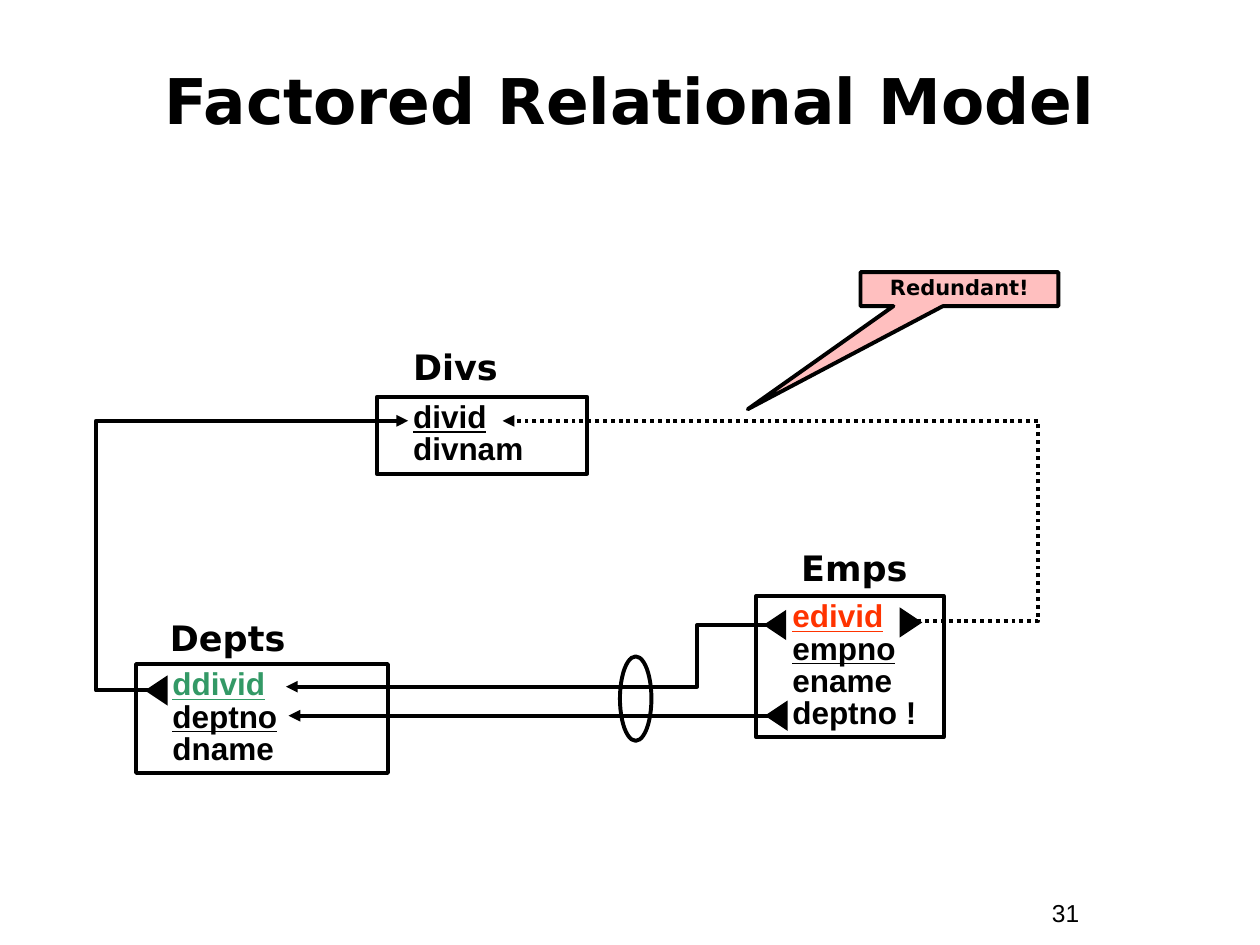
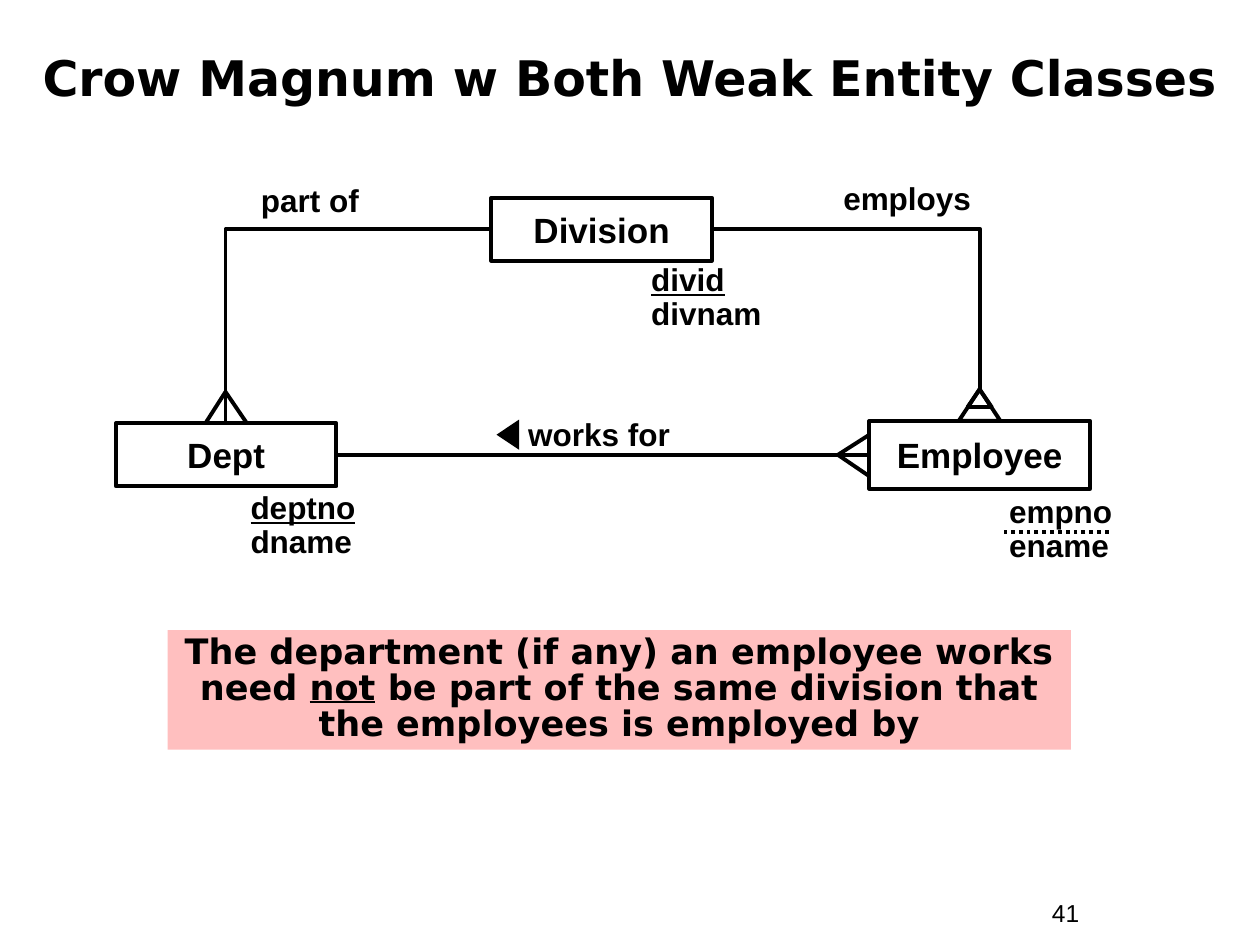
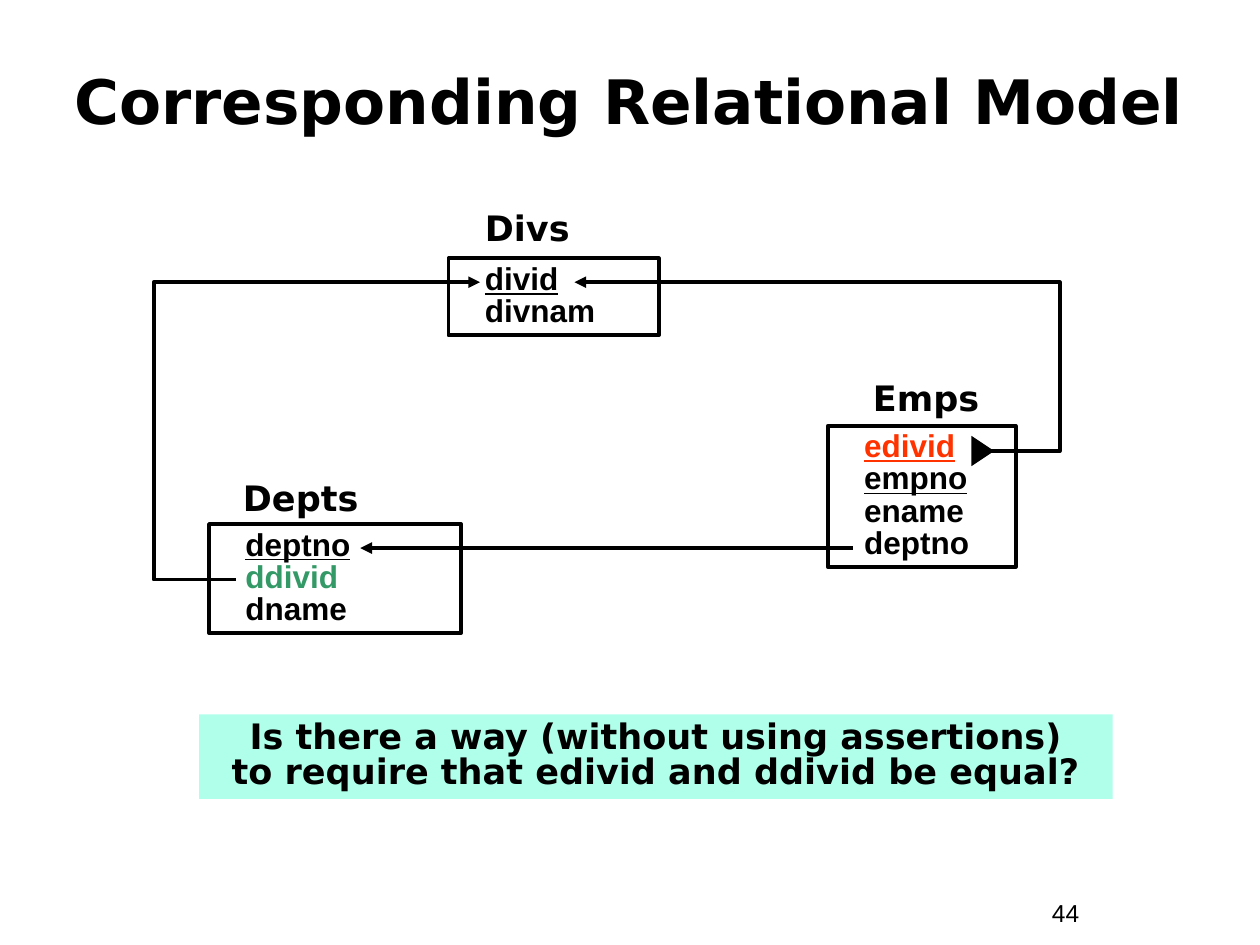
from pptx import Presentation
from pptx.dml.color import RGBColor
from pptx.enum.dml import MSO_LINE
from pptx.enum.shapes import MSO_CONNECTOR, MSO_SHAPE
from pptx.enum.text import MSO_ANCHOR, PP_ALIGN
from pptx.oxml.ns import qn
from pptx.util import Inches, Pt
from lxml import etree

BLACK = RGBColor(0x00, 0x00, 0x00)
WHITE = RGBColor(0xFF, 0xFF, 0xFF)
GREEN = RGBColor(0x33, 0x99, 0x66)
RED = RGBColor(0xFF, 0x33, 0x00)
PINK = RGBColor(0xFF, 0xBF, 0xBF)
MINT = RGBColor(0xAF, 0xFF, 0xEA)

HEADING_FONT = "DejaVu Sans"
BODY_FONT = "Arial"
STROKE = Pt(2.25)

LEFT, CENTER = PP_ALIGN.LEFT, PP_ALIGN.CENTER
TOP, MIDDLE = MSO_ANCHOR.TOP, MSO_ANCHOR.MIDDLE
STRAIGHT, ELBOW = MSO_CONNECTOR.STRAIGHT, MSO_CONNECTOR.ELBOW
RECTANGLE, ELLIPSE = MSO_SHAPE.RECTANGLE, MSO_SHAPE.OVAL
TRIANGLE = MSO_SHAPE.ISOSCELES_TRIANGLE
CALLOUT = MSO_SHAPE.RECTANGULAR_CALLOUT
DOTTED = MSO_LINE.ROUND_DOT


def write(frame, lines, size, font=BODY_FONT, bold=True, align=LEFT,
          anchor=TOP, spacing=1.0, indent=0, wrap=True):
    frame.word_wrap = wrap
    frame.vertical_anchor = anchor
    for index, line in enumerate(lines):
        paragraph = frame.paragraphs[0] if index == 0 else frame.add_paragraph()
        paragraph.alignment = align
        paragraph.line_spacing = spacing
        if indent:
            paragraph._p.get_or_add_pPr().set("marL", str(Inches(indent)))
        if isinstance(line, str):
            paragraph.text = line
        else:
            for text, color, underline in line:
                run = paragraph.add_run()
                run.text = text
                run.font.color.rgb = color
                run.font.underline = underline
        paragraph.font.name = font
        paragraph.font.size = Pt(size)
        paragraph.font.bold = bold
        paragraph.font.color.rgb = BLACK


def label(slide, box, lines, size, **style):
    text_box = slide.shapes.add_textbox(*map(Inches, box))
    write(text_box.text_frame, lines, size, **style)


def figure(slide, kind, box, fill=None, outlined=True, rotation=0):
    shape = slide.shapes.add_shape(kind, *map(Inches, box))
    shape.shadow.inherit = False
    shape.rotation = rotation
    if fill is None:
        shape.fill.background()
    else:
        shape.fill.solid()
        shape.fill.fore_color.rgb = fill
    if outlined:
        shape.line.color.rgb = BLACK
        shape.line.width = STROKE
    else:
        shape.line.fill.background()
    return shape


def link(slide, start, end, via_x=None, arrow=False, dotted=False):
    kind = STRAIGHT if via_x is None else ELBOW
    connector = slide.shapes.add_connector(kind, *map(Inches, start + end))
    connector.line.color.rgb = BLACK
    connector.line.width = STROKE
    if dotted:
        connector.line.dash_style = DOTTED
    properties = connector._element.spPr
    if arrow:
        etree.SubElement(connector.line._get_or_add_ln(), qn("a:tailEnd"), type="triangle")
    etree.SubElement(properties, qn("a:effectLst"))
    if via_x is not None:
        geometry = properties.find(qn("a:prstGeom"))
        if via_x == end[0]:
            geometry.set("prst", "bentConnector2")
        else:
            bend = round((via_x - start[0]) / (end[0] - start[0]) * 100000)
            guides = geometry.find(qn("a:avLst"))
            etree.SubElement(guides, qn("a:gd"), name="adj1", fmla=f"val {bend}")


def pointer(slide, center_x, center_y, rotation):
    width, height = 0.24, 0.18
    box = (center_x - width / 2, center_y - height / 2, width, height)
    figure(slide, TRIANGLE, box, BLACK, outlined=False, rotation=rotation)


def relation(slide, name, left, top, width, fields, name_offset):
    height = 0.1 + 0.255 * len(fields)
    table = figure(slide, RECTANGLE, (left, top, width, height))
    write(table.text_frame, [[field] for field in fields], 18, spacing=0.85, indent=0.19)
    dx, dy = name_offset
    label(slide, (left + dx, top - dy, 1.6, 0.44), [name], 20, font=HEADING_FONT)


def divs(slide, left, top):
    fields = [("divid", BLACK, True), ("divnam", BLACK, False)]
    relation(slide, "Divs", left, top, 1.67, fields, (0.19, 0.46))


def depts(slide, left, top, keys):
    fields = keys + [("dname", BLACK, False)]
    relation(slide, "Depts", left, top, 2, fields, (0.17, 0.43))


def emps(slide, left, top, department_key):
    fields = [("edivid", RED, True), ("empno", BLACK, True),
              ("ename", BLACK, False), (department_key, BLACK, False)]
    relation(slide, "Emps", left, top, 1.49, fields, (0.26, 0.44))


def entity(slide, name, box):
    shape = figure(slide, RECTANGLE, box)
    write(shape.text_frame, [name], 20, align=CENTER, anchor=MIDDLE, wrap=False)


def attributes(slide, left, top, key, other, underline=True):
    lines = [[(key, BLACK, underline)], [(other, BLACK, False)]]
    label(slide, (left, top, 1.19, 0.64), lines, 18, spacing=0.9)


def crow_foot(slide, tip, toes):
    for toe in toes:
        link(slide, tip, toe)


def banner(slide, box, line, fill):
    shape = figure(slide, RECTANGLE, box, fill, outlined=False)
    write(shape.text_frame, [line], 20, font=HEADING_FONT, align=CENTER, spacing=0.85)


def new_slide(deck, title, number, title_size, title_box=(0.33, 0.33, 9.33, 0.92)):
    slide = deck.slides.add_slide(deck.slide_layouts[6])
    slide.background.fill.solid()
    slide.background.fill.fore_color.rgb = WHITE
    label(slide, title_box, [title], title_size, font=HEADING_FONT,
          align=CENTER, anchor=MIDDLE)
    label(slide, (8.25, 7.08, 0.92, 0.34), [str(number)], 14, bold=False)
    return slide


def factored_model(deck):
    slide = new_slide(deck, "Factored Relational Model", 31, 36)
    depts(slide, 1.08, 5.27, [("ddivid", GREEN, True), ("deptno", BLACK, True)])
    emps(slide, 6, 4.73, "deptno !")
    divs(slide, 2.99, 3.15)

    link(slide, (6.19, 4.96), (2.27, 5.45), via_x=5.53, arrow=True)
    link(slide, (1.3, 5.48), (3.24, 3.34), via_x=0.76, arrow=True)
    link(slide, (7.22, 4.93), (3.99, 3.34), via_x=8.24, arrow=True, dotted=True)
    link(slide, (6.2, 5.68), (2.29, 5.68), arrow=True)
    figure(slide, ELLIPSE, (4.92, 5.21, 0.25, 0.67))

    pointer(slide, 7.23, 4.94, 90)
    for x, y in [(1.24, 5.48), (6.15, 4.96), (6.16, 5.68)]:
        pointer(slide, x, y, 270)

    redundancy = figure(slide, CALLOUT, (6.83, 2.16, 1.57, 0.27), PINK)
    redundancy.adjustments[0] = -1.07
    redundancy.adjustments[1] = 3.53
    write(redundancy.text_frame, ["Redundant!"], 12, font=HEADING_FONT,
          align=CENTER, spacing=0.85)


def weak_entity_classes(deck):
    slide = new_slide(deck, "Crow Magnum w Both Weak Entity Classes", 41, 28,
                      (0.2, 0.15, 9.59, 0.92))
    banner(slide, (1.33, 5, 7.17, 0.95), [
        ("The department (if any) an employee works need ", BLACK, False),
        ("not", BLACK, True),
        (" be part of the same division that the employees is employed by", BLACK, False),
    ], PINK)

    entity(slide, "Employee", (6.9, 3.34, 1.75, 0.54))
    entity(slide, "Division", (3.9, 1.57, 1.75, 0.5))
    entity(slide, "Dept", (0.92, 3.36, 1.75, 0.5))

    link(slide, (5.67, 1.82), (7.78, 3.09), via_x=7.78)
    link(slide, (3.89, 1.82), (1.79, 3.35), via_x=1.79)
    link(slide, (6.89, 3.61), (2.68, 3.61))
    crow_foot(slide, (6.65, 3.61), [(6.9, 3.45), (6.9, 3.78)])
    crow_foot(slide, (1.79, 3.11), [(1.96, 3.36), (1.63, 3.36)])
    figure(slide, TRIANGLE, (7.61, 3.09, 0.33, 0.25))
    figure(slide, TRIANGLE, (7.68, 3.09, 0.19, 0.14))

    for role, left, top, width in [("works for", 3.92, 3.29, 1.67),
                                   ("employs", 6.27, 1.42, 1.86),
                                   ("part of", 1.53, 1.43, 1.86)]:
        label(slide, (left, top, width, 0.36), [role], 18, align=CENTER, spacing=0.85)
    pointer(slide, 4.03, 3.45, 270)

    attributes(slide, 5.07, 2.05, "divid", "divnam")
    attributes(slide, 1.89, 3.86, "deptno", "dname")
    attributes(slide, 7.91, 3.89, "empno", "ename", underline=False)
    link(slide, (8.8, 4.22), (7.97, 4.22), dotted=True)


def corresponding_model(deck):
    slide = new_slide(deck, "Corresponding Relational Model", 44, 35)
    depts(slide, 1.66, 4.16, [("deptno", BLACK, True), ("ddivid", GREEN, False)])
    emps(slide, 6.57, 3.38, "deptno")
    divs(slide, 3.56, 2.05)

    link(slide, (1.87, 4.6), (3.81, 2.24), via_x=1.22, arrow=True)
    link(slide, (7.79, 3.58), (4.56, 2.24), via_x=8.41, arrow=True)
    link(slide, (6.77, 4.35), (2.86, 4.35), arrow=True)
    pointer(slide, 7.8, 3.58, 90)

    banner(slide, (1.58, 5.67, 7.25, 0.67),
           "Is there a way (without using assertions)\v"
           "to require that edivid and ddivid be equal?", MINT)


def main():
    deck = Presentation()
    deck.slide_width = Inches(10)
    deck.slide_height = Inches(7.5)
    factored_model(deck)
    weak_entity_classes(deck)
    corresponding_model(deck)
    deck.save("out.pptx")


if __name__ == "__main__":
    main()
